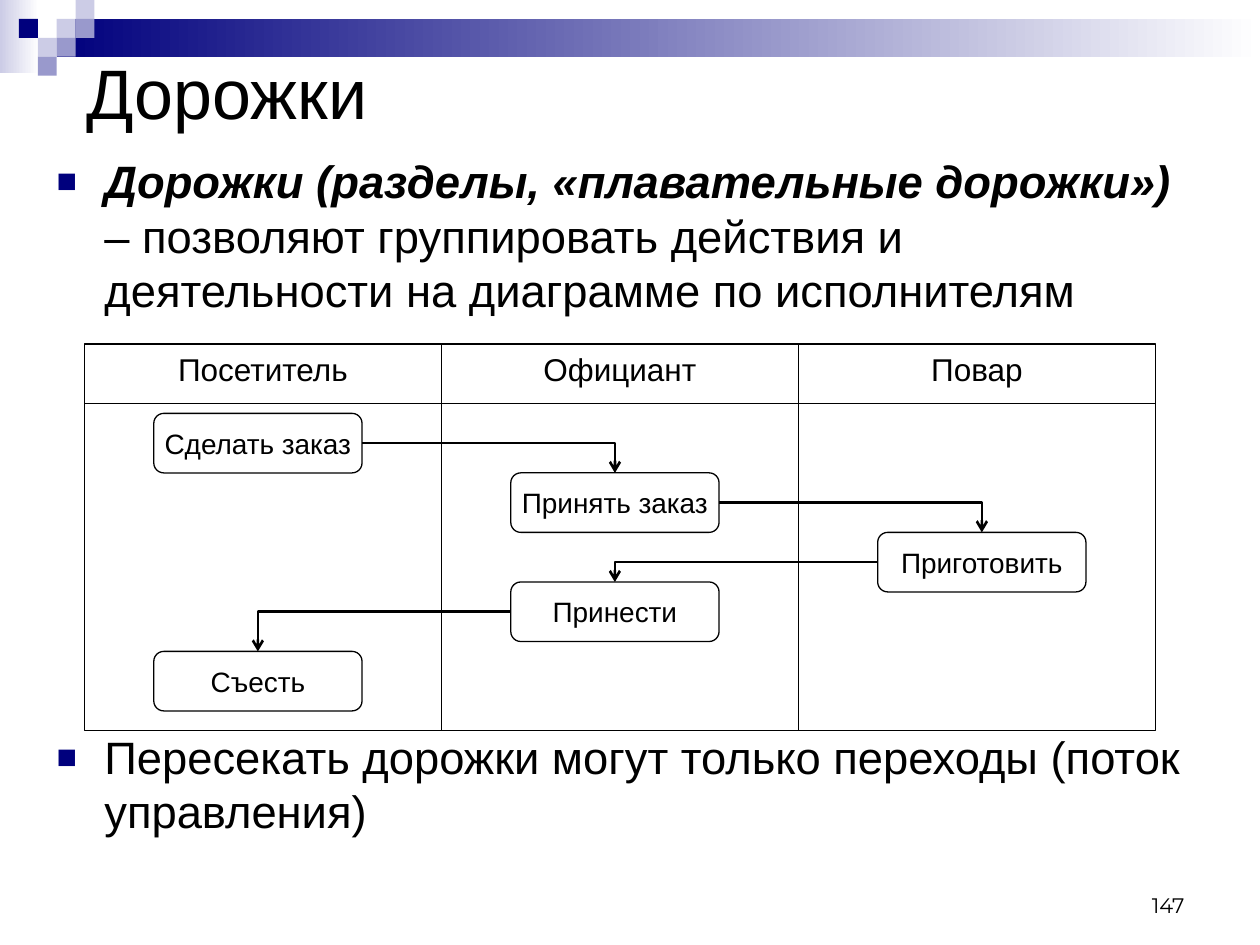
from collections import namedtuple
from dataclasses import dataclass

import pptx
import pptx.dml.color
import pptx.enum.shapes
import pptx.enum.text
import pptx.oxml
import pptx.oxml.ns
import pptx.util
from lxml import etree

SHAPE = pptx.enum.shapes.MSO_SHAPE
ALIGN = pptx.enum.text.PP_ALIGN
ANCHOR = pptx.enum.text.MSO_ANCHOR
Inches, Pt = pptx.util.Inches, pptx.util.Pt
qn = pptx.oxml.ns.qn

Box = namedtuple("Box", "x y w h")


@dataclass(frozen=True)
class Theme:
    font: str = "Arial"
    number_font: str = "Montserrat"
    ink: str = "000000"
    paper: str = "FFFFFF"
    navy: str = "00007D"
    mid: str = "9999CC"
    pale: str = "CCCCE6"
    title: float = 40
    body: float = 25.9
    leading: float = 31
    lane: float = 18
    step: float = 16
    number: float = 12
    thin: float = 0.75
    thick: float = 1.5


THEME = Theme()

LANES = ["Посетитель", "Официант", "Повар"]
# Text, column and row on the diagram grid
STEPS = [
    ("Сделать заказ", 7, 7),
    ("Принять заказ", 43, 13),
    ("Приготовить", 80, 19),
    ("Принести", 43, 24),
    ("Съесть", 7, 31),
]
GRID_COLS, GRID_ROWS = 108, 39
STEP_COLS, STEP_ROWS = 21, 6
HEADER_ROWS = 6
# Connection sites of a step box
TOP, LEFT, RIGHT = 0, 1, 3


def rgb(value):
    return pptx.dml.color.RGBColor.from_string(value)


def emu(box):
    return [Inches(v) for v in box]


def cell(box, cols, rows, x, y, w, h):
    """Box covering part of a grid of cols by rows laid over box."""
    cw, rh = box.w / cols, box.h / rows
    return Box(box.x + x * cw, box.y + y * rh, w * cw, h * rh)


def style(p, size, font=THEME.font, align=ALIGN.LEFT):
    p.alignment = align
    for r in p.runs:
        r.font.size = Pt(size)
        r.font.name = font
        r.font.color.rgb = rgb(THEME.ink)


def add_bullet(p):
    pPr = p._p.get_or_add_pPr()
    pPr.set("marL", str(Inches(0.38)))
    pPr.set("indent", str(-Inches(0.38)))
    color = etree.SubElement(pPr, qn("a:buClr"))
    etree.SubElement(color, qn("a:srgbClr"), val=THEME.navy)
    etree.SubElement(pPr, qn("a:buSzPct"), val="75000")
    etree.SubElement(pPr, qn("a:buFont"), typeface=THEME.font)
    etree.SubElement(pPr, qn("a:buChar"), char="■")


def add_block(slide, box, fill, fade=None):
    """Borderless rectangle, fading from left to right if fade is given."""
    s = slide.shapes.add_shape(SHAPE.RECTANGLE, *emu(box))
    s.shadow.inherit = False
    s.line.fill.background()
    if fade:
        s.fill.gradient()
        s.fill.gradient_angle = 0
        for stop, color in zip(s.fill.gradient_stops, (fill, fade)):
            stop.color.rgb = rgb(color)
            stop.position = 0 if color == fill else 1
    else:
        s.fill.solid()
        s.fill.fore_color.rgb = rgb(fill)


def add_outline(slide, kind, box, text, size, anchor):
    s = slide.shapes.add_shape(kind, *emu(box))
    s.shadow.inherit = False
    s.fill.background()
    s.line.color.rgb = rgb(THEME.ink)
    s.line.width = Pt(THEME.thin)
    tf = s.text_frame
    tf.text = text
    tf.word_wrap = False
    tf.vertical_anchor = anchor
    style(tf.paragraphs[0], size, align=ALIGN.CENTER)
    return s


def add_line(slide, kind, start, end, width):
    s = slide.shapes.add_connector(kind, *emu(start), *emu(end))
    s.line.color.rgb = rgb(THEME.ink)
    s.line.width = Pt(width)
    etree.SubElement(s.element.spPr, qn("a:effectLst"))
    return s


def add_flow(slide, source, target):
    """Arrow leaving the side of source and entering the top of target."""
    s = add_line(slide, pptx.enum.shapes.MSO_CONNECTOR.ELBOW,
                 (0, 0), (1, 1), THEME.thick)
    s.begin_connect(source, RIGHT if target.left > source.left else LEFT)
    s.end_connect(target, TOP)
    s.element.spPr.find(qn("a:prstGeom")).set("prst", "bentConnector2")
    etree.SubElement(s.line._get_or_add_ln(), qn("a:tailEnd"), type="arrow")


def add_banner(slide, box):
    unit = box.h / 4
    add_block(slide, Box(box.x, box.y, 0.31, 0.58), THEME.pale, THEME.paper)
    add_block(slide, Box(box.x + 3 * unit, box.y + unit, box.w - 3 * unit, 2 * unit),
              THEME.navy, THEME.paper)
    squares = [(3, 1, THEME.pale), (4, 0, THEME.pale), (4, 1, THEME.mid),
               (2, 2, THEME.pale), (1, 1, THEME.navy), (3, 2, THEME.mid),
               (2, 3, THEME.mid)]
    for col, row, color in squares:
        add_block(slide, Box(box.x + col * unit, box.y + row * unit, unit, unit), color)


def add_title(slide, box, text):
    s = slide.shapes.title
    s.left, s.top, s.width, s.height = emu(box)
    s.text_frame.text = text
    s.text_frame.vertical_anchor = ANCHOR.MIDDLE
    style(s.text_frame.paragraphs[0], THEME.title)


def add_body(slide, box, gap):
    """Two bullets, with a gap in points left between them for the diagram."""
    tf = slide.shapes.add_textbox(*emu(box)).text_frame
    tf.word_wrap = True
    first, last = tf.paragraphs[0], tf.add_paragraph()
    first.text = "Дорожки (разделы, «плавательные дорожки»)"
    term = first.runs[0].font
    term.bold = term.italic = True
    first.add_run().text = (" – позволяют группировать действия и деятельности "
                            "на диаграмме по исполнителям")
    last.text = "Пересекать дорожки могут только переходы (поток управления)"
    for p in (first, last):
        add_bullet(p)
        p.line_spacing = Pt(THEME.leading)
        style(p, THEME.body)
    last.space_before = Pt(gap)


def add_swimlanes(slide, box):
    for i, name in enumerate(LANES):
        lane = cell(box, len(LANES), 1, i, 0, 1, 1)
        add_outline(slide, SHAPE.RECTANGLE, lane, name, THEME.lane, ANCHOR.TOP)
    rule = cell(box, 1, GRID_ROWS, 0, HEADER_ROWS, 1, 0)
    add_line(slide, pptx.enum.shapes.MSO_CONNECTOR.STRAIGHT,
             (rule.x, rule.y), (rule.x + rule.w, rule.y), THEME.thin)
    steps = [
        add_outline(slide, SHAPE.FLOWCHART_ALTERNATE_PROCESS,
                    cell(box, GRID_COLS, GRID_ROWS, col, row, STEP_COLS, STEP_ROWS),
                    text, THEME.step, ANCHOR.MIDDLE)
        for text, col, row in STEPS
    ]
    for source, target in zip(steps, steps[1:]):
        add_flow(slide, source, target)


def add_page_number(slide, box, text):
    tf = slide.shapes.add_textbox(*emu(box)).text_frame
    tf.text = text
    tf.word_wrap = True
    tf.vertical_anchor = ANCHOR.BOTTOM
    style(tf.paragraphs[0], THEME.number, THEME.number_font, ALIGN.RIGHT)


def main():
    prs = pptx.Presentation()
    prs.slide_width, prs.slide_height = Inches(10), Inches(7.5)
    slide = prs.slides.add_slide(prs.slide_layouts[5])
    add_banner(slide, Box(0, 0, 10, 0.6))
    add_title(slide, Box(0.59, 0.36, 9.14, 0.73), "Дорожки")
    add_body(slide, Box(0.35, 1.17, 9.29, 5.8), gap=236)
    add_swimlanes(slide, Box(0.67, 2.73, 8.5, 3.07))
    add_page_number(slide, Box(7.17, 6.83, 2.33, 0.5), "147")
    prs.save("out.pptx")


if __name__ == "__main__":
    main()
